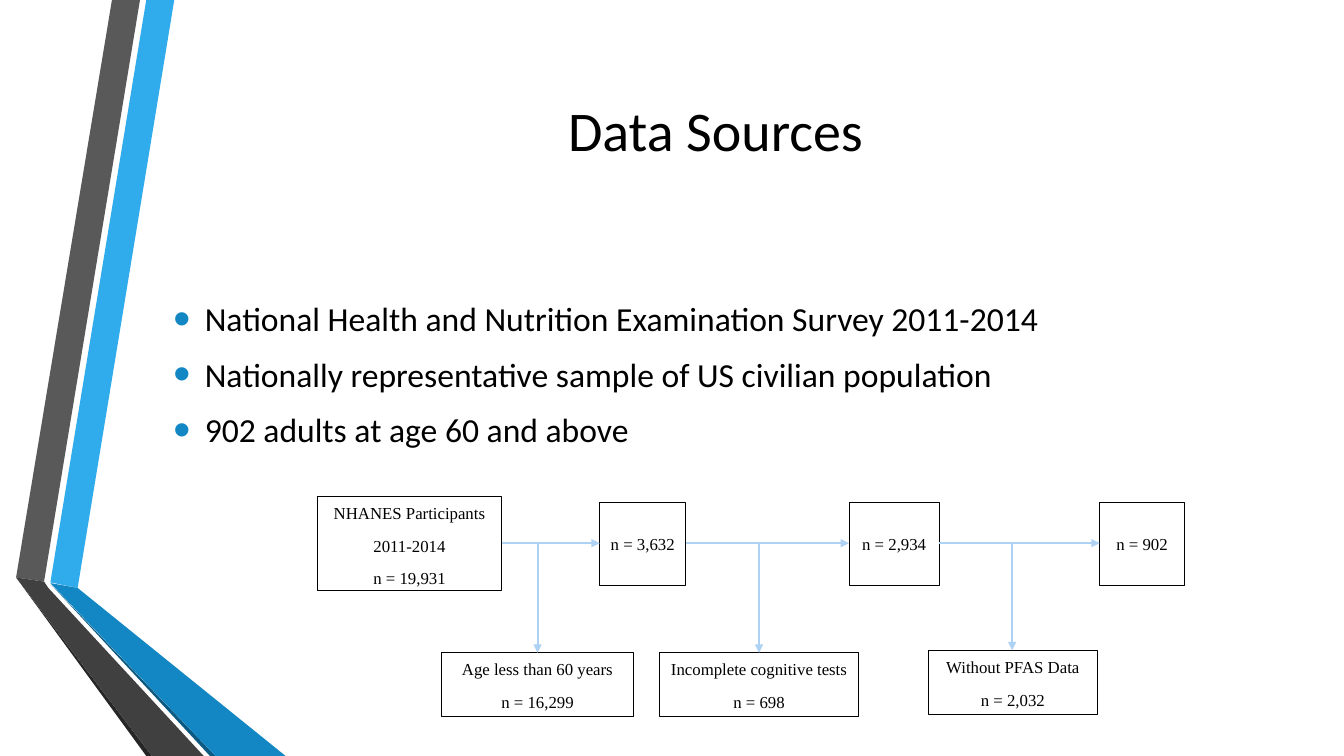
from lxml.etree import SubElement
from pptx import Presentation
from pptx.dml.color import RGBColor
from pptx.enum.shapes import MSO_CONNECTOR, MSO_SHAPE
from pptx.enum.text import MSO_ANCHOR, MSO_AUTO_SIZE, PP_ALIGN
from pptx.oxml.ns import qn
from pptx.util import Pt

BLACK = RGBColor(0x00, 0x00, 0x00)
WHITE = RGBColor(0xFF, 0xFF, 0xFF)
SKY = RGBColor(0x30, 0xAC, 0xEC)
BLUE = RGBColor(0x12, 0x87, 0xC3)
NAVY = RGBColor(0x0C, 0x5A, 0x82)
GREY = RGBColor(0x59, 0x59, 0x59)
SLATE = RGBColor(0x40, 0x40, 0x40)
COAL = RGBColor(0x26, 0x26, 0x26)
PALE = RGBColor(0xAE, 0xD2, 0xF4)

BANDS = [
    (SKY, [(36, 416), (55.5, 420), (124.5, 0), (104.5, 0)]),
    (GREY, [(100, 0), (80, 0), (11.5, 412.5), (31.5, 415.5)]),
    (COAL, [(11.5, 412.5), (104.5, 540), (108.5, 540)]),
    (NAVY, [(36, 417), (150, 540), (154, 540)]),
    (BLUE, [(36, 416.5), (154, 540), (204, 540), (55.5, 420)]),
    (SLATE, [(31.5, 415.5), (11.5, 412.5), (108.5, 540), (145.5, 540),
             (34.5, 420)]),
]
POINTS = [
    "National Health and Nutrition Examination Survey 2011-2014",
    "Nationally representative sample of US civilian population",
    "902 adults at age 60 and above",
]
STEPS = [
    (226.8, 354.5, 131.5, 67.5, ["NHANES Participants", "2011-2014", "n = 19,931"]),
    (428.4, 358.5, 61.5, 59.5, ["n = 3,632"]),
    (606.5, 358.5, 64.5, 59.5, ["n = 2,934"]),
    (785.5, 358.5, 60.5, 59.5, ["n = 902"]),
]
DROPS = [
    (315.2, 466.3, 137.5, 45.5, 384, ["Age less than 60 years", "n = 16,299"]),
    (471, 466.3, 142.5, 45.5, 542.2, ["Incomplete cognitive tests", "n = 698"]),
    (663, 464.5, 121, 45.5, 723, ["Without PFAS Data", "n = 2,032"]),
]
FLOW_Y = 388


def style(para, font, size):
    for run in para.runs:
        run.font.name = font
        run.font.size = Pt(size)
        run.font.color.rgb = BLACK


def place(shape, left, top, width, height):
    shape.left, shape.top = Pt(left), Pt(top)
    shape.width, shape.height = Pt(width), Pt(height)
    frame = shape.text_frame
    frame.auto_size = MSO_AUTO_SIZE.NONE
    frame.vertical_anchor = MSO_ANCHOR.MIDDLE
    return frame


def add_band(slide, color, spots):
    spots = [(Pt(x), Pt(y)) for x, y in spots]
    pen = slide.shapes.build_freeform(*spots[0])
    pen.add_line_segments(spots[1:])
    band = pen.convert_to_shape()
    band.shadow.inherit = False
    band.fill.solid()
    band.fill.fore_color.rgb = color
    band.line.fill.background()


def add_bullet(para):
    para.space_before, para.space_after = Pt(4.8), Pt(6)
    props = para._p.get_or_add_pPr()
    props.set("marL", str(Pt(22.5)))
    props.set("indent", str(-Pt(22.5)))
    tint = SubElement(props, qn("a:buClr"))
    SubElement(tint, qn("a:srgbClr"), val=str(BLUE))
    SubElement(props, qn("a:buSzPct"), val="145000")
    SubElement(props, qn("a:buFont"), typeface="Arial")
    SubElement(props, qn("a:buChar"), char="•")


def add_box(slide, left, top, width, height, lines):
    box = slide.shapes.add_shape(
        MSO_SHAPE.RECTANGLE, Pt(left), Pt(top), Pt(width), Pt(height))
    box.shadow.inherit = False
    box.fill.solid()
    box.fill.fore_color.rgb = WHITE
    box.line.color.rgb = BLACK
    box.line.width = Pt(0.5)
    frame = box.text_frame
    frame.word_wrap = True
    frame.margin_left = frame.margin_right = Pt(3.6)
    single = len(lines) == 1
    frame.vertical_anchor = MSO_ANCHOR.MIDDLE if single else MSO_ANCHOR.TOP
    frame.text = "\n".join(lines)
    for para in frame.paragraphs:
        para.alignment = PP_ALIGN.CENTER
        para.line_spacing = 1.07
        para.space_after = Pt(8)
        style(para, "Times New Roman", 12)


def add_arrow(slide, *ends):
    arrow = slide.shapes.add_connector(
        MSO_CONNECTOR.STRAIGHT, *[Pt(end) for end in ends])
    arrow.line.color.rgb = PALE
    arrow.line.width = Pt(1.5)
    SubElement(arrow.line._get_or_add_ln(), qn("a:tailEnd"), type="triangle")
    SubElement(arrow._element.spPr, qn("a:effectLst"))


def main():
    deck = Presentation()
    deck.slide_width, deck.slide_height = Pt(960), Pt(540)
    slide = deck.slides.add_slide(deck.slide_layouts[1])
    for color, spots in BANDS:
        add_band(slide, color, spots)

    title = place(slide.shapes.title, 116.6, 23, 789, 138)
    title.text = "Data Sources"
    title.paragraphs[0].alignment = PP_ALIGN.CENTER
    style(title.paragraphs[0], "Calibri", 40)

    body = place(slide.placeholders[1], 116.6, 144, 789, 246)
    body.text = "\n".join(POINTS)
    for para in body.paragraphs:
        add_bullet(para)
        style(para, "Calibri", 24)

    for step in STEPS:
        add_box(slide, *step)
    for here, after in zip(STEPS, STEPS[1:]):
        add_arrow(slide, here[0] + here[2], FLOW_Y, after[0], FLOW_Y)
    for left, top, width, height, stem, lines in DROPS:
        add_box(slide, left, top, width, height, lines)
        add_arrow(slide, stem, FLOW_Y, stem, top)
    deck.save("out.pptx")


main()
